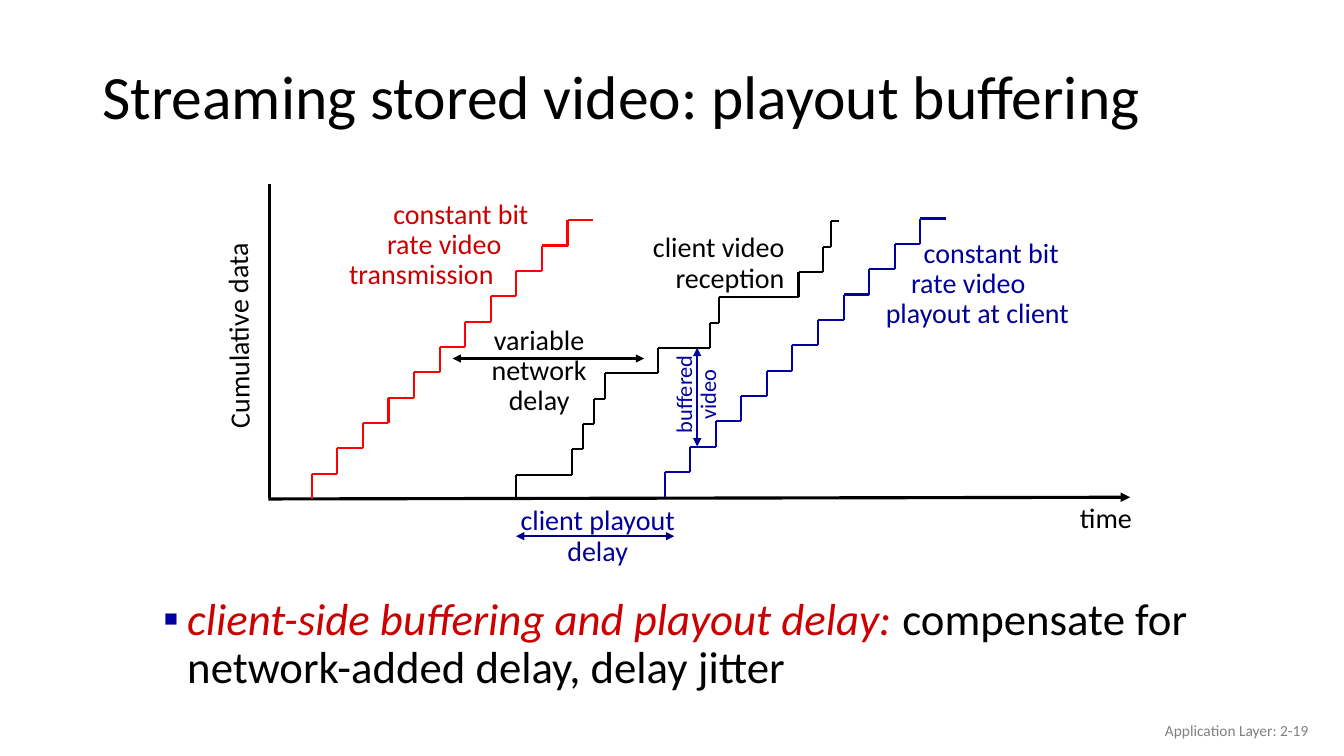
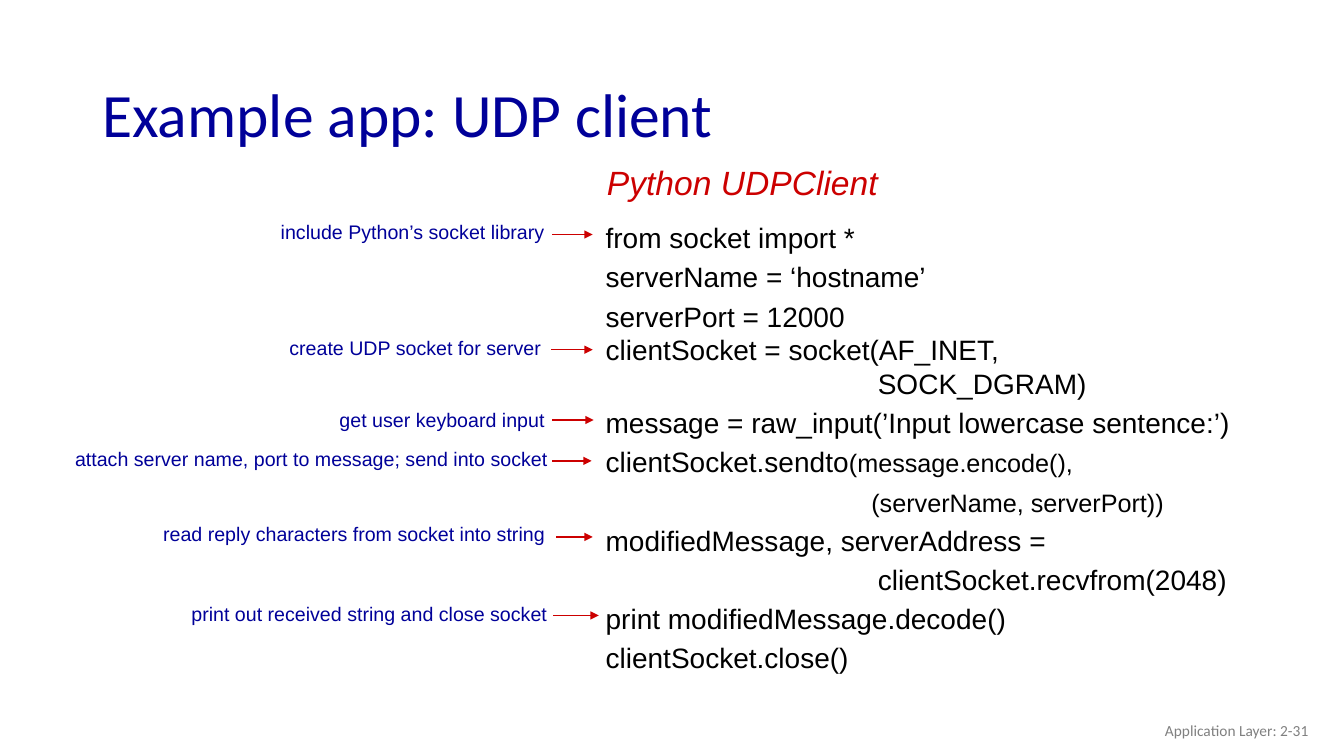
from dataclasses import dataclass, replace
from typing import NamedTuple

from lxml.etree import SubElement
from pptx import Presentation
from pptx.dml.color import RGBColor
from pptx.enum.shapes import MSO_CONNECTOR
from pptx.enum.text import MSO_ANCHOR as Anchor, PP_ALIGN as Align
from pptx.oxml.ns import qn
from pptx.slide import Slide
from pptx.util import Pt

BLACK = RGBColor(0x00, 0x00, 0x00)
GRAY = RGBColor(0x80, 0x80, 0x80)
RED = RGBColor(0xFF, 0x00, 0x00)
DARK_RED = RGBColor(0xCC, 0x00, 0x00)
NAVY = RGBColor(0x00, 0x00, 0x99)
BLUE = RGBColor(0x00, 0x00, 0xA3)
DELAY_BLUE = RGBColor(0x01, 0x00, 0x86)

STEP_COUNT = 11
STEP_HEIGHT = 18.1
EVEN_RUNS = (18.27,) * STEP_COUNT
VARIABLE_RUNS = (39.6, 7.9, 7.9, 7.9, 38.2, 36.7, 6.5, 56.9, 17.3, 5.8, 5.8)


@dataclass(frozen=True)
class Style:
    name: str
    size: float
    color: RGBColor
    italic: bool = False


TITLE = Style("Calibri", 44, BLACK)
LABEL = Style("Calibri", 20, BLACK)
RED_LABEL = replace(LABEL, color=DARK_RED)
NAVY_LABEL = replace(LABEL, color=NAVY)
BUFFER_LABEL = Style("Calibri", 16, BLUE)
BODY = Style("Calibri", 32, BLACK)
TERM = replace(BODY, color=DARK_RED, italic=True)
FOOTER = Style("Calibri", 11, GRAY)
CODE = Style("Arial", 20, BLACK)
SMALL_CODE = replace(CODE, size=18)
CODE_TITLE = Style("Arial", 24, DARK_RED, italic=True)
NOTE = Style("Arial", 14, NAVY)


class Run(NamedTuple):
    text: str
    style: Style


class Line(NamedTuple):
    """One paragraph, with lengths in points."""
    runs: tuple[Run, ...]
    indent: float = 0
    spacing: float | Pt | None = 0.9
    before: float = 0
    bullet: str = ""


class Box(NamedTuple):
    left: float
    top: float
    width: float
    height: float


@dataclass(frozen=True)
class Label:
    box: Box
    lines: tuple[Line, ...]
    align: Align = Align.LEFT
    anchor: Anchor = Anchor.TOP
    rotation: float = 0


class Stroke(NamedTuple):
    """A straight line with an optional arrowhead at each end."""
    start: tuple[float, float]
    end: tuple[float, float]
    color: RGBColor
    width: float = 1.5
    head: bool = False
    tail: bool = False


class Staircase(NamedTuple):
    left: float
    baseline: float
    runs: tuple[float, ...]
    color: RGBColor


class Note(NamedTuple):
    """A remark beside the code and the arrow that leads from it."""
    text: str
    left: float
    top: float
    arrow_left: float
    arrow_right: float
    arrow_y: float


def line(text: str, style: Style, indent: float = 0,
         spacing: float | Pt | None = 0.9) -> Line:
    return Line((Run(text, style),), indent, spacing)


def lines(style: Style, *texts: str) -> tuple[Line, ...]:
    return tuple(line(text, style) for text in texts)


def add_bullet(properties, character: str, color: RGBColor) -> None:
    properties.set("indent", str(-Pt(17.3)))
    bullet_color = SubElement(properties, qn("a:buClr"))
    SubElement(bullet_color, qn("a:srgbClr")).set("val", str(color))
    SubElement(properties, qn("a:buFont")).set("typeface", "Arial")
    SubElement(properties, qn("a:buChar")).set("char", character)


def add_label(slide: Slide, label: Label) -> None:
    shape = slide.shapes.add_textbox(*(Pt(length) for length in label.box))
    shape.rotation = label.rotation
    frame = shape.text_frame
    frame.word_wrap = True
    frame.vertical_anchor = label.anchor
    for index, item in enumerate(label.lines):
        paragraph = frame.paragraphs[0] if index == 0 else frame.add_paragraph()
        settings = {"alignment": label.align, "line_spacing": item.spacing,
                    "space_before": Pt(item.before)}
        for name, value in settings.items():
            setattr(paragraph, name, value)
        properties = paragraph._p.get_or_add_pPr()
        properties.set("marL", str(Pt(item.indent)))
        if item.bullet:
            add_bullet(properties, item.bullet, BLUE)
        for text, style in item.runs:
            run = paragraph.add_run()
            run.text = text
            settings = {"name": style.name, "size": Pt(style.size),
                        "italic": style.italic}
            for name, value in settings.items():
                setattr(run.font, name, value)
            run.font.color.rgb = style.color


def add_stroke(slide: Slide, stroke: Stroke) -> None:
    ends = (Pt(length) for length in (*stroke.start, *stroke.end))
    connector = slide.shapes.add_connector(MSO_CONNECTOR.STRAIGHT, *ends)
    connector.line.color.rgb = stroke.color
    connector.line.width = Pt(stroke.width)
    outline = connector.line._get_or_add_ln()
    for tag, shown in (("a:headEnd", stroke.head), ("a:tailEnd", stroke.tail)):
        if shown:
            SubElement(outline, qn(tag)).set("type", "triangle")
    SubElement(connector._element.spPr, qn("a:effectLst"))


def add_staircase(slide: Slide, stairs: Staircase) -> None:
    """Draw equal rises, each followed by its own horizontal run."""
    left, bottom = stairs.left, stairs.baseline
    for run in stairs.runs:
        top, right = bottom - STEP_HEIGHT, left + run
        add_stroke(slide, Stroke((left, top), (left, bottom), stairs.color))
        add_stroke(slide, Stroke((right, top), (left, top), stairs.color))
        left, bottom = right, top


def add_slide(presentation: Presentation, number: int, title: Label) -> Slide:
    """Add a blank slide with its title and numbered footer."""
    slide = presentation.slides.add_slide(presentation.slide_layouts[6])
    add_label(slide, title)
    footer = line(f"Application Layer: 2-{number}", FOOTER, spacing=None)
    add_label(slide, Label(Box(725.8, 507.6, 216, 28.8), (footer,),
                           Align.RIGHT, Anchor.MIDDLE))
    return slide


STAIRCASES = (
    Staircase(222.7, 356.4, EVEN_RUNS, RED),
    Staircase(368.8, 357.2, VARIABLE_RUNS, BLACK),
    Staircase(474.7, 355.2, EVEN_RUNS, BLUE),
)

CHART_STROKES = (
    Stroke((192.4, 131.3), (192.4, 355.8), BLACK, 2.25),
    Stroke((807.2, 355.2), (191.7, 356.4), BLACK, 2.25, head=True),
    Stroke((323.3, 256.1), (460.1, 256.1), BLACK, head=True, tail=True),
    Stroke((368.6, 383), (481.7, 383), DELAY_BLUE, head=True, tail=True),
    Stroke((498, 319), (498, 248.4), BLUE, head=True, tail=True),
)

CHART_LABELS = (
    Label(Box(242.3, 139.5, 150, 73), (
        line("constant bit", RED_LABEL, 31.6),
        line("rate video", RED_LABEL, 27.1),
        line("transmission", RED_LABEL))),
    Label(Box(94.3, 221.8, 154, 28.8), lines(LABEL, "Cumulative data"),
          rotation=269.4),
    Label(Box(764.3, 356.8, 60, 28.8), lines(LABEL, "time")),
    Label(Box(335.1, 229.5, 100, 73),
          lines(LABEL, "variable", "network", "delay"), Align.CENTER),
    Label(Box(452.4, 163.4, 115, 51),
          lines(LABEL, "client video", "reception"), Align.RIGHT),
    Label(Box(621.1, 167.2, 165, 73), (
        line("constant bit", NAVY_LABEL, 31.6),
        line("rate video", NAVY_LABEL, 22.6),
        line("playout at client", NAVY_LABEL, 4.5))),
    Label(Box(360.7, 358.3, 132.5, 51),
          lines(NAVY_LABEL, "client playout", "delay"), Align.CENTER),
    Label(Box(458.2, 260.4, 80, 42.5),
          lines(BUFFER_LABEL, "buffered", "video"), Align.CENTER, rotation=270),
    Label(Box(98.6, 422.6, 828, 70), (
        Line((Run("client-side buffering and playout delay: ", TERM),
              Run("compensate for network-added delay, delay jitter", BODY)),
             indent=28.1, before=10, bullet="▪"),)),
)

WIDE = Pt(28)
TIGHT = Pt(24)
CODE_LINES = (
    line("from socket import *", CODE, spacing=WIDE),
    line("serverName = ‘hostname’", CODE, spacing=WIDE),
    line("serverPort = 12000", CODE, spacing=WIDE),
    line("clientSocket = socket(AF_INET,", CODE, spacing=TIGHT),
    line("SOCK_DGRAM)", CODE, 194.4, TIGHT),
    line("message = raw_input(’Input lowercase sentence:’)", CODE, spacing=WIDE),
    Line((Run("clientSocket.sendto", CODE),
          Run("(message.encode(),", SMALL_CODE)), spacing=WIDE),
    line("(serverName, serverPort))", SMALL_CODE, 189.8, WIDE),
    line("modifiedMessage, serverAddress =", CODE, spacing=WIDE),
    line("clientSocket.recvfrom(2048)", CODE, 194.4, WIDE),
    line("print modifiedMessage.decode()", CODE, spacing=WIDE),
    line("clientSocket.close()", CODE, spacing=WIDE),
)

NOTES = (
    Note("include Python’s socket library", 193.4, 153.6, 394.6, 423.4, 167.5),
    Note("create UDP socket for server", 199.6, 236.2, 393.8, 423.4, 249.8),
    Note("get user keyboard input", 235.4, 288, 394.6, 424.1, 300),
    Note("attach server name, port to message; send into socket",
         46.5, 315.8, 394.6, 422.6, 329.2),
    Note("read reply characters from socket into string",
         109.4, 368.9, 397.4, 423.4, 383.5),
    Note("print out received string and close socket",
         129.6, 426.2, 395.3, 427.7, 439.6),
)


def add_buffering_slide(presentation: Presentation) -> None:
    title = line("Streaming stored video: playout buffering", TITLE)
    slide = add_slide(presentation, 19, Label(
        Box(66, 35.6, 828, 70.6), (title,), anchor=Anchor.MIDDLE))
    for stroke in CHART_STROKES:
        add_stroke(slide, stroke)
    for stairs in STAIRCASES:
        add_staircase(slide, stairs)
    for label in CHART_LABELS:
        add_label(slide, label)


def add_client_slide(presentation: Presentation) -> None:
    title = line("Example app: UDP client", replace(TITLE, color=NAVY),
                 spacing=None)
    slide = add_slide(presentation, 31, Label(
        Box(66, 28.4, 828, 104.4), (title,), anchor=Anchor.MIDDLE))
    add_label(slide, Label(Box(425.5, 150.1, 475, 391), CODE_LINES))
    heading = line("Python UDPClient", CODE_TITLE, spacing=None)
    add_label(slide, Label(Box(426.5, 112.3, 216, 36.7), (heading,)))
    for note in NOTES:
        remark = line(note.text, NOTE, spacing=None)
        add_label(slide, Label(Box(note.left, note.top, 372, 24), (remark,)))
        add_stroke(slide, Stroke((note.arrow_left, note.arrow_y),
                                 (note.arrow_right, note.arrow_y),
                                 DARK_RED, 1, tail=True))


def main() -> None:
    presentation = Presentation()
    presentation.slide_width = Pt(960)
    presentation.slide_height = Pt(540)
    add_buffering_slide(presentation)
    add_client_slide(presentation)
    presentation.save("out.pptx")


if __name__ == "__main__":
    main()
